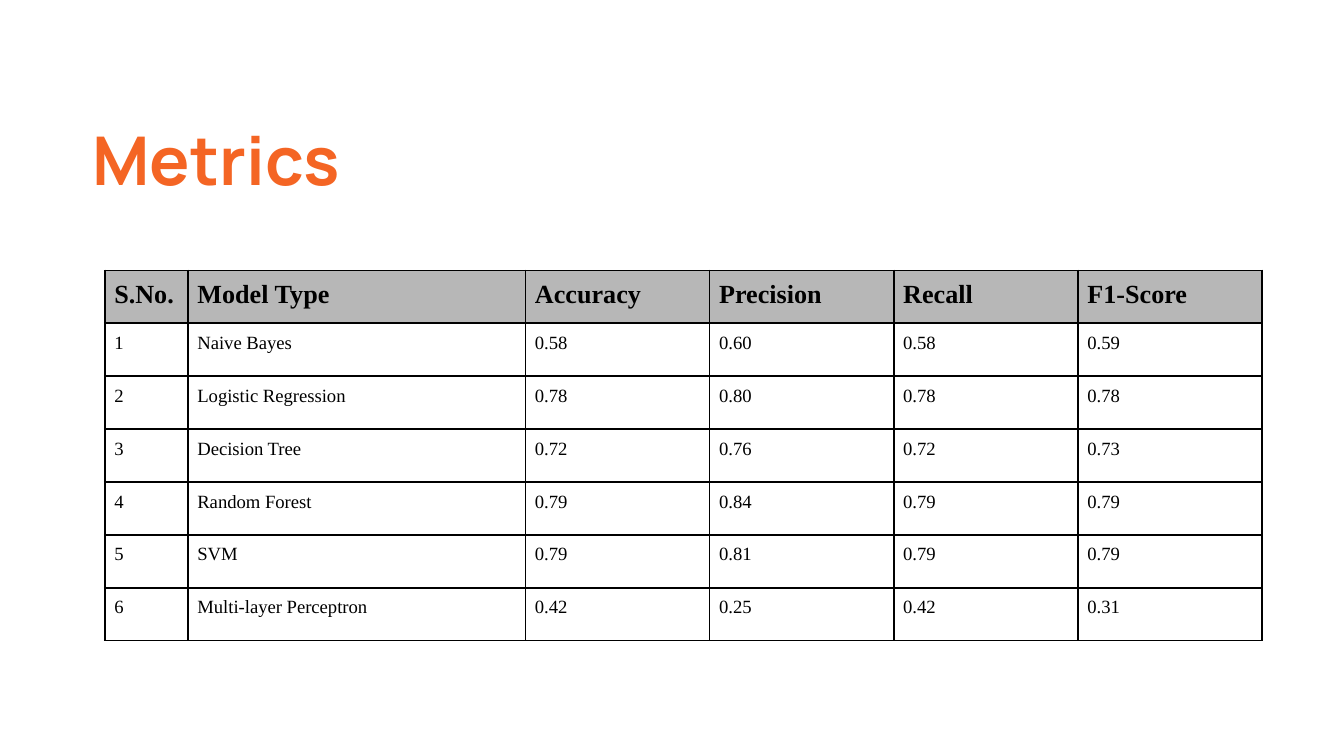
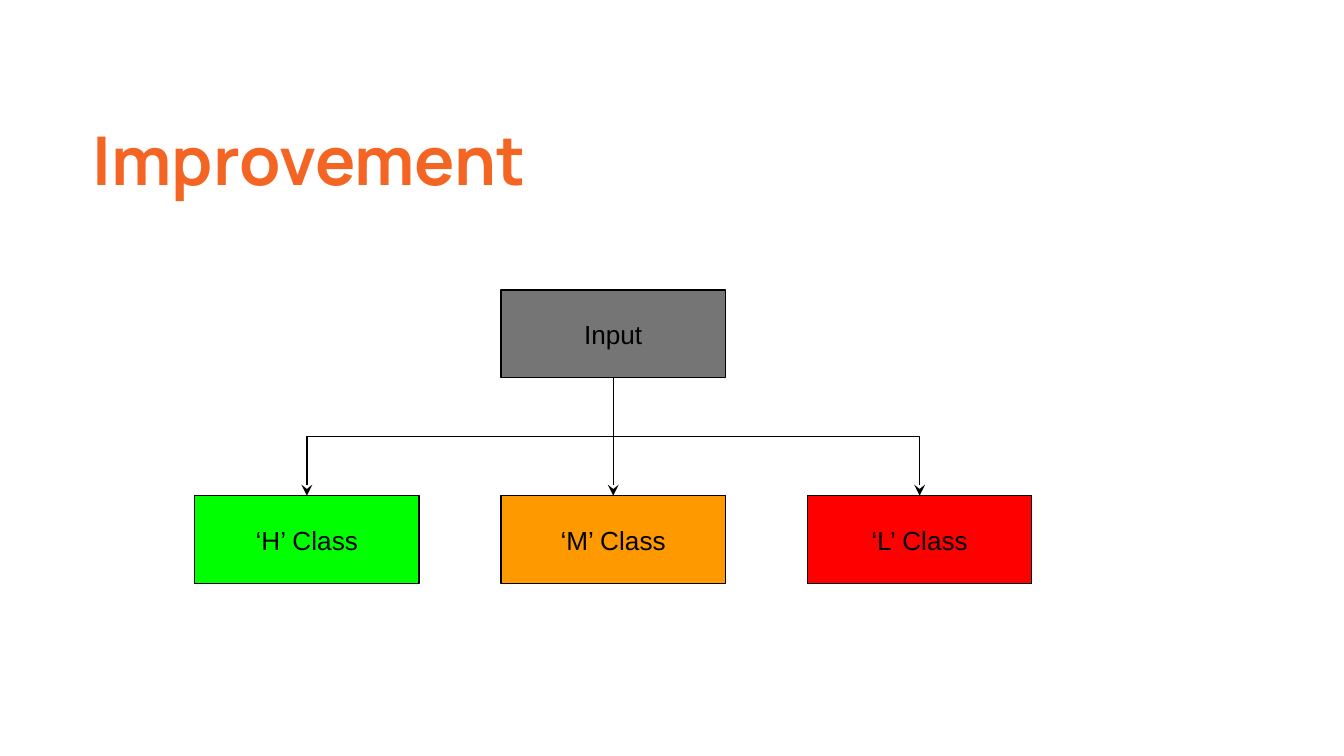
from lxml import etree
from pptx import Presentation
from pptx.dml.color import RGBColor
from pptx.enum.shapes import MSO_CONNECTOR, MSO_SHAPE
from pptx.enum.text import MSO_ANCHOR, PP_ALIGN
from pptx.oxml.ns import qn
from pptx.util import Cm, Pt

RECTANGLE = MSO_SHAPE.RECTANGLE
STRAIGHT, ELBOW = MSO_CONNECTOR.STRAIGHT, MSO_CONNECTOR.ELBOW
TOP, MIDDLE = MSO_ANCHOR.TOP, MSO_ANCHOR.MIDDLE
LEFT, CENTER = PP_ALIGN.LEFT, PP_ALIGN.CENTER
TOP_SIDE, BOTTOM_SIDE = 0, 2

BLACK = RGBColor(0, 0, 0)
ORANGE = RGBColor(0xF4, 0x65, 0x24)
HEADER_GREY = RGBColor(0xB7, 0xB7, 0xB7)
INPUT_GREY = RGBColor(0x75, 0x75, 0x75)
GREEN = RGBColor(0, 0xFF, 0)
AMBER = RGBColor(0xFF, 0x99, 0)
RED = RGBColor(0xFF, 0, 0)

TITLE_FONT = {"name": "Manrope", "size": Pt(36), "bold": True}
HEADER_FONT = {"name": "Times New Roman", "size": Pt(14), "bold": True}
BODY_FONT = {"name": "Times New Roman", "size": Pt(10), "bold": False}
BOX_FONT = {"name": "Arial", "size": Pt(14), "bold": False}

TITLE_BOX = (1.5, 1.98, 14.43, 2.13)
TABLE_ORIGIN = (1.98, 5.11)
COLUMN_WIDTHS = (1.57, 6.38) + (3.48,) * 4
ROW_HEIGHT = 1.0
DIAGRAM_ORIGIN = (3.68, 5.48)
BOX_SIZE = (4.24, 1.66)
BOX_STEP = 5.79
LEVEL_STEP = 3.89

HEADERS = ("S.No.", "Model Type", "Accuracy", "Precision", "Recall", "F1-Score")
MODELS = (
    ("Naive Bayes", 0.58, 0.60, 0.58, 0.59),
    ("Logistic Regression", 0.78, 0.80, 0.78, 0.78),
    ("Decision Tree", 0.72, 0.76, 0.72, 0.73),
    ("Random Forest", 0.79, 0.84, 0.79, 0.79),
    ("SVM", 0.79, 0.81, 0.79, 0.79),
    ("Multi-layer Perceptron", 0.42, 0.25, 0.42, 0.31),
)
CLASSES = (("‘H’ Class", GREEN), ("‘M’ Class", AMBER), ("‘L’ Class", RED))


def apply(target, values):
    for name, value in values.items():
        setattr(target, name, value)


def set_margins(target, length):
    for side in ("left", "top", "right", "bottom"):
        setattr(target, f"margin_{side}", Cm(length))


def write_text(frame, text, font, color=BLACK, alignment=LEFT):
    paragraph = frame.paragraphs[0]
    paragraph.alignment = alignment
    run = paragraph.add_run()
    run.text = text
    apply(run.font, font)
    run.font.color.rgb = color
    return paragraph


def add_title(slide, text, box):
    frame = slide.shapes.add_textbox(*map(Cm, box)).text_frame
    apply(frame, {"word_wrap": True, "vertical_anchor": TOP})
    set_margins(frame, 0.25)
    paragraph = write_text(frame, text, TITLE_FONT, ORANGE)
    paragraph.space_after = Pt(16)


def add_cell_borders(cell):
    properties = cell._tc.get_or_add_tcPr()
    for side in ("lnL", "lnR", "lnT", "lnB"):
        border = etree.SubElement(properties, qn(f"a:{side}"), w=str(Pt(1)))
        fill = etree.SubElement(border, qn("a:solidFill"))
        etree.SubElement(fill, qn("a:srgbClr"), val=str(BLACK))


def fill_cell(cell, text, is_header):
    set_margins(cell, 0.18)
    cell.vertical_anchor = TOP
    add_cell_borders(cell)
    if is_header:
        cell.fill.solid()
        cell.fill.fore_color.rgb = HEADER_GREY
    else:
        cell.fill.background()
    write_text(cell.text_frame, text, HEADER_FONT if is_header else BODY_FONT)


def add_metrics_table(slide, left, top):
    rows = [HEADERS]
    for number, (model, *scores) in enumerate(MODELS, 1):
        rows.append((str(number), model, *(f"{score:.2f}" for score in scores)))
    size = (sum(COLUMN_WIDTHS), ROW_HEIGHT * len(rows))
    table = slide.shapes.add_table(
        len(rows), len(HEADERS), *map(Cm, (left, top, *size))
    ).table
    apply(table, {"first_row": False, "horz_banding": False})
    for column, width in zip(table.columns, COLUMN_WIDTHS):
        column.width = Cm(width)
    for row_index, texts in enumerate(rows):
        table.rows[row_index].height = Cm(ROW_HEIGHT)
        for column_index, text in enumerate(texts):
            fill_cell(table.cell(row_index, column_index), text, row_index == 0)


def add_box(slide, text, color, left, top):
    shape = slide.shapes.add_shape(RECTANGLE, *map(Cm, (left, top, *BOX_SIZE)))
    shape.shadow.inherit = False
    shape.fill.solid()
    shape.fill.fore_color.rgb = color
    shape.line.color.rgb = BLACK
    shape.line.width = Pt(0.75)
    frame = shape.text_frame
    apply(frame, {"word_wrap": True, "vertical_anchor": MIDDLE})
    set_margins(frame, 0.25)
    write_text(frame, text, BOX_FONT, alignment=CENTER)
    return shape


def turn_elbow_downward(connector):
    span, drop = connector.width, connector.height
    goes_right = connector.end_x > connector.begin_x
    apply(connector, {
        "left": connector.left + (span - drop) // 2,
        "top": connector.top + (drop - span) // 2,
        "width": drop,
        "height": span,
    })
    transform = connector._element.spPr.find(qn("a:xfrm"))
    transform.set("rot", "16200000" if goes_right else "5400000")
    transform.set("flipH", "1" if goes_right else "0")


def add_arrow(slide, source, target):
    kind = STRAIGHT if source.left == target.left else ELBOW
    connector = slide.shapes.add_connector(kind, 0, 0, 0, 0)
    connector.begin_connect(source, BOTTOM_SIDE)
    connector.end_connect(target, TOP_SIDE)
    if kind == ELBOW:
        turn_elbow_downward(connector)
    connector.line.color.rgb = BLACK
    connector.line.width = Pt(0.75)
    etree.SubElement(connector.line._get_or_add_ln(), qn("a:tailEnd"), type="stealth")
    etree.SubElement(connector._element.spPr, qn("a:effectLst"))


def add_class_diagram(slide, left, top):
    source = add_box(slide, "Input", INPUT_GREY, left + BOX_STEP, top)
    targets = [
        add_box(slide, text, color, left + index * BOX_STEP, top + LEVEL_STEP)
        for index, (text, color) in enumerate(CLASSES)
    ]
    for target in targets:
        add_arrow(slide, source, target)


def main():
    presentation = Presentation()
    apply(presentation, {"slide_width": Cm(25.4), "slide_height": Cm(14.29)})
    blank = presentation.slide_layouts[6]
    for title, add_content, origin in (
        ("Metrics", add_metrics_table, TABLE_ORIGIN),
        ("Improvement", add_class_diagram, DIAGRAM_ORIGIN),
    ):
        slide = presentation.slides.add_slide(blank)
        add_title(slide, title, TITLE_BOX)
        add_content(slide, *origin)
    presentation.save("out.pptx")


if __name__ == "__main__":
    main()
